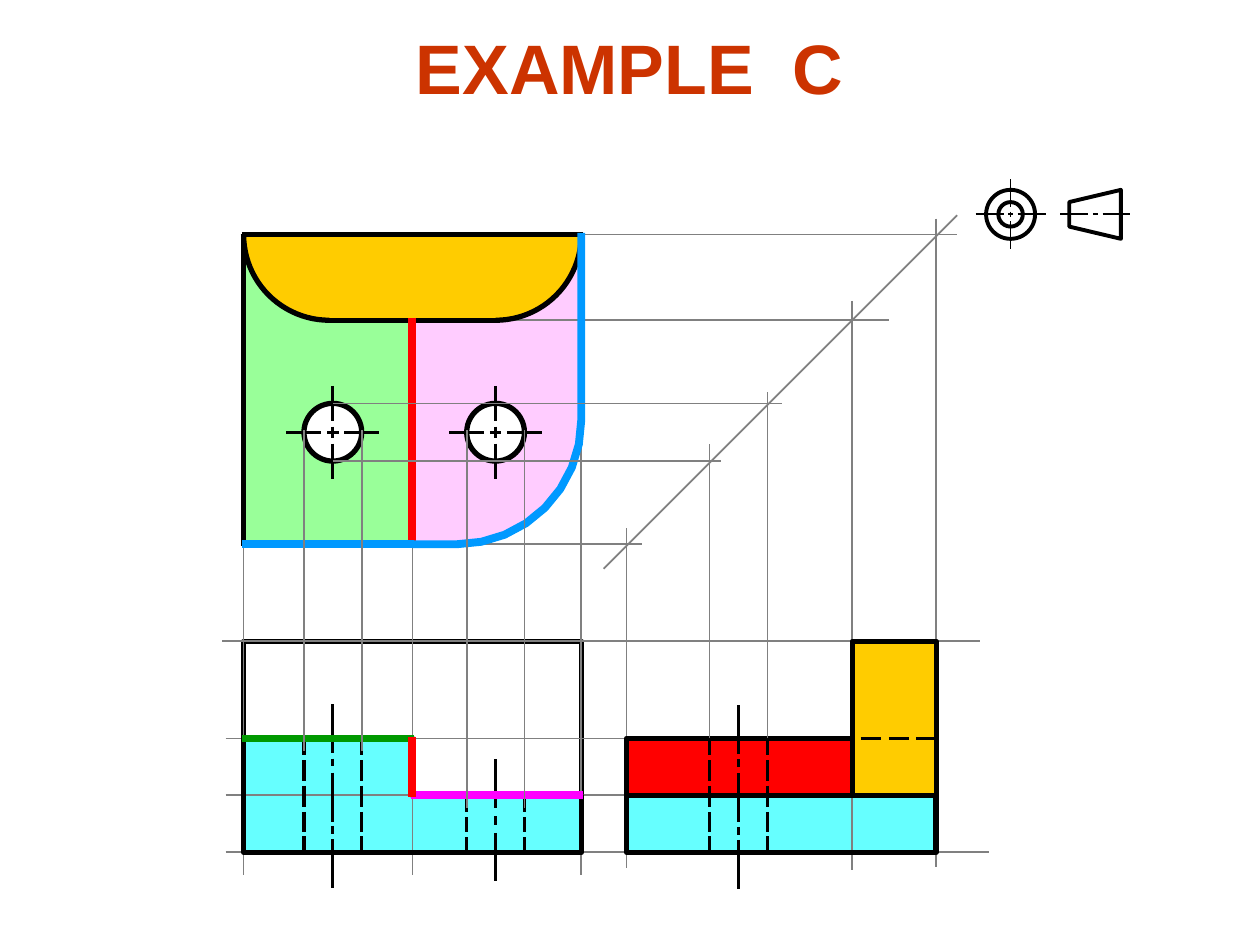
from math import cos, radians, sin

from lxml.etree import SubElement
from pptx import Presentation
from pptx.dml.color import RGBColor
from pptx.enum.shapes import MSO_CONNECTOR, MSO_SHAPE
from pptx.enum.text import MSO_ANCHOR, PP_ALIGN
from pptx.oxml.ns import qn
from pptx.util import Pt

BLACK = RGBColor(0x00, 0x00, 0x00)
WHITE = RGBColor(0xFF, 0xFF, 0xFF)
GRAY = RGBColor(0x80, 0x80, 0x80)
RUST = RGBColor(0xCC, 0x33, 0x00)
GOLD = RGBColor(0xFF, 0xCC, 0x00)
CYAN = RGBColor(0x66, 0xFF, 0xFF)
RED = RGBColor(0xFF, 0x00, 0x00)
PINK = RGBColor(0xFF, 0xCC, 0xFF)
LIME = RGBColor(0x99, 0xFF, 0x99)
GREEN = RGBColor(0x00, 0x99, 0x00)
MAGENTA = RGBColor(0xFF, 0x00, 0xFF)
BLUE = RGBColor(0x00, 0x99, 0xFF)

# View boxes in points: left, top, width, height
TOP = (139.2, 134, 193, 177)
FRONT = (139.2, 366.5, 193, 120.5)
SIDE = (358, 366.5, 177, 120.5)
SYMBOL = (563.5, 108.5, 77, 28)

# Features of the part
STEP, LOW = 55.5, 88            # heights of the two steps, from the top
WALL = 49                       # thickness of the back wall and its radius
CORNER = 71                     # radius of the front corner
HOLES, HOLE_Y, R = (51, 144), 113, 16.5
SIDE_HOLE, SIDE_WALL = 64, 129
HIDDEN = ((0, 9.5), (12.5, 24.5), (27, 39), (42, 53.5), (56, 65.5))
HIDDEN_LOW = ((0, 9.5), (12.5, 21), (24, 33.5))
AXIS = ((0, 28), (31, 35.5), (39, 67), (69.5, 74), (77, 105))
AXIS_LOW = ((0, 27.5), (32.5, 37.5), (42, 69.5))


def style(shape, fill, color, width):
    shape.shadow.inherit = False
    if fill is None:
        shape.fill.background()
    else:
        shape.fill.solid()
        shape.fill.fore_color.rgb = fill
    if width:
        shape.line.color.rgb = color
        shape.line.width = Pt(width)
    else:
        shape.line.fill.background()


def line(s, x1, y1, x2, y2, color=BLACK, width=3):
    c = s.shapes.add_connector(MSO_CONNECTOR.STRAIGHT, Pt(x1), Pt(y1), Pt(x2), Pt(y2))
    c.line.color.rgb = color
    c.line.width = Pt(width)
    SubElement(c._element.spPr, qn("a:effectLst"))


def preset(s, kind, x, y, w, h, fill=None, width=0):
    shape = s.shapes.add_shape(kind, Pt(x), Pt(y), Pt(w), Pt(h))
    style(shape, fill, BLACK, width)
    return shape


def quarter(s, cx, cy, r, start):
    shape = preset(s, MSO_SHAPE.ARC, cx - r, cy - r, 2 * r, 2 * r, width=3)
    for i, angle in enumerate((start, start + 90)):
        shape.adjustments[i] = angle * 0.6  # 60000ths of a degree over 100000


def outline(s, box, points, fill=None, color=BLACK, width=3, close=True):
    pts = [(Pt(box[0] + x), Pt(box[1] + y)) for x, y in points]
    fb = s.shapes.build_freeform(*pts[0])
    fb.add_line_segments(pts[1:], close=close)
    style(fb.convert_to_shape(), fill, color, width)


def arc(cx, cy, r, start, end, n=8):
    angles = [radians(start + (end - start) * i / n) for i in range(n + 1)]
    return [(cx + r * cos(a), cy + r * sin(a)) for a in angles]


def dashes(s, x, y, spans, width, vertical=True):
    for a, b in spans:
        if vertical:
            line(s, x, y + a, x, y + b, width=width)
        else:
            line(s, x + a, y, x + b, y, width=width)


def cross(s, x, y, half, gap, dot, width, directions=(False, True)):
    for vertical in directions:
        dashes(s, x, y, ((-half, -gap), (-dot, dot), (gap, half)), width, vertical)


def title(s, x, y, w, h):
    sp = s.shapes.title
    sp.left, sp.top, sp.width, sp.height = Pt(x), Pt(y), Pt(w), Pt(h)
    tf = sp.text_frame
    tf.word_wrap = False
    tf.margin_left = tf.margin_right = 0
    tf.vertical_anchor = MSO_ANCHOR.TOP
    p = tf.paragraphs[0]
    p.alignment = PP_ALIGN.CENTER
    for text, spacing in (("EXAMPLE", 0), (" ", 1100), ("C", 0)):
        r = p.add_run()
        r.text = text
        r.font.name, r.font.size, r.font.bold = "Arial", Pt(40), True
        r.font.color.rgb = RUST
        if spacing:  # widens the gap before the letter
            r._r.get_or_add_rPr().set("spc", str(spacing))


def top_fills(s, box):
    w, h = box[2:]
    mid = w / 2
    right = arc(w - WALL, 0, WALL, 0, 90)
    left = arc(WALL, 0, WALL, 90, 180)
    corner = arc(w - CORNER, h - CORNER, CORNER, 90, 0)
    outline(s, box, [(mid, WALL), (mid, h)] + corner + right, PINK, width=0.75)
    outline(s, box, [(0, h), (mid, h), (mid, WALL)] + left, LIME, width=0.75)
    outline(s, box, right + left, GOLD, width=0)


def front_fills(s, box):
    x, y, w, h = box
    mid = w / 2
    outline(s, box, [(0, STEP), (0, 0), (w, 0), (w, LOW), (mid, LOW), (mid, STEP)], WHITE)
    preset(s, MSO_SHAPE.RECTANGLE, x, y + STEP, mid, h - STEP, CYAN)
    preset(s, MSO_SHAPE.RECTANGLE, x + mid, y + LOW, mid, h - LOW, CYAN)


def side_blocks(s, box, filled):
    x, y, w, h = box
    for dx, dy, bw, bh, fill, width in (
            (0, LOW, w, h - LOW, CYAN, 0),
            (0, STEP, SIDE_WALL, LOW - STEP, RED, 0.75),
            (SIDE_WALL, 0, w - SIDE_WALL, LOW, GOLD, 0.75)):
        preset(s, MSO_SHAPE.RECTANGLE, x + dx, y + dy, bw, bh,
               fill if filled else None, width if filled else 3)


def projections(s, top, front, side):
    x, y, w, h = top
    line(s, 345, 325, 547, 123, GRAY, 1)
    # From the top view across to the mitre line
    for x1, dy, x2 in ((x + 130, h, 367), (x + w, 0, 547), (x + 151, WALL, 508)):
        line(s, x1, y + dy, x2, y + dy, GRAY, 1)
    # From the mitre line down to the side view
    for dx, y1, y2 in ((0, 302, 496), (side[2], 125, 495.5), (SIDE_WALL, 172, 497)):
        line(s, side[0] + dx, y1, side[0] + dx, y2, GRAY, 1)
    # Heights shared by the front and side views
    for dy, x1, x2 in ((0, 127, 560), (STEP, 129, 358), (LOW, 129, 358), (front[3], 129, 565)):
        line(s, x1, front[1] + dy, x2, front[1] + dy, GRAY, 1)
    # From the top view down to the front view
    for dx, y1 in ((0, 310), (w / 2, 310), (w, 248)):
        line(s, x + dx, y1, x + dx, 500, GRAY, 1)


def top_edges(s, box):
    x, y, w, h = box
    quarter(s, x + w - WALL, y, WALL, 0)
    quarter(s, x + WALL, y, WALL, 90)
    quarter(s, x + w - CORNER, y + h - CORNER, CORNER, 0)
    line(s, x + WALL, y + WALL, x + w - WALL, y + WALL)
    line(s, x - 1, y, x + w + 1, y)
    line(s, x + w, y - 1, x + w, y + h - CORNER)
    line(s, x, y, x, y + h + 1)
    for dx in HOLES:
        cx, cy = x + dx, y + HOLE_Y
        preset(s, MSO_SHAPE.OVAL, cx - R, cy - R, 2 * R, 2 * R, WHITE, 3)
        cross(s, cx, cy, 26.5, 6.5, 3.25, 1.5)


def front_edges(s, box):
    x, y, w, h = box
    mid = w / 2
    outline(s, box, [(0, STEP), (mid, STEP), (mid, LOW), (w, LOW), (w, h), (0, h)])
    for dx, level, hidden, above, axis in (
            (HOLES[0], STEP, HIDDEN, 19.5, AXIS), (HOLES[1], LOW, HIDDEN_LOW, 20.5, AXIS_LOW)):
        for edge in (-R, R):
            dashes(s, x + dx + edge, y + level, hidden, 2)
        dashes(s, x + dx, y + level - above, axis, 1.5)


def side_edges(s, box):
    x, y, w, h = box
    side_blocks(s, box, filled=False)
    for edge in (-R, R):
        dashes(s, x + SIDE_HOLE + edge, y + STEP, HIDDEN, 2)
    dashes(s, x + SIDE_HOLE, y + STEP - 19, AXIS, 1.5)
    dashes(s, x + SIDE_WALL, y + STEP, ((5, 16.5), (21, 32.5), (36.5, 48)), 2, vertical=False)


def projection_symbol(s, box):
    x, y, w, h = box
    cy = y + h / 2
    ring = preset(s, MSO_SHAPE.DONUT, x, y, h, h, width=2.25)
    ring.adjustments[0] = 0.25
    outline(s, box, [(w, 0), (w, h), (w - 29.5, h - 7), (w - 29.5, 7)], width=2.25)
    cross(s, x + h / 2, cy, 20, 4, 1.5, 1)
    cross(s, x + w - 14.5, cy, 20, 4, 1.5, 1, directions=(False,))


def hole_projections(s, top, side):
    for dy, x2, edge, y2 in ((-R, 447, R, 224), (R, 412, -R, 253.5)):
        y, x = top[1] + HOLE_Y + dy, side[0] + SIDE_HOLE + edge
        line(s, top[0] + HOLES[0], y, x2, y, GRAY, 0.75)
        line(s, x, side[1] + STEP, x, y2, GRAY, 0.75)
    for dx, y2 in zip(HOLES, (429, 462)):
        for edge in (-R, R):
            x = top[0] + dx + edge
            line(s, x, 246, x, y2, GRAY, 1)


def highlights(s, top, front):
    x, y, w, h = top
    fy, mid = front[1], x + w / 2
    line(s, x - 1, fy + STEP, mid + 1, fy + STEP, GREEN, 4.5)
    line(s, mid - 1, fy + LOW, x + w + 1, fy + LOW, MAGENTA, 4.5)
    line(s, mid, y + WALL - 1, mid, y + h + 1, RED, 4.5)
    line(s, mid, fy + STEP - 1, mid, fy + LOW + 1, RED, 4.5)
    corner = arc(w - CORNER, h - CORNER, CORNER, 0, 90)
    outline(s, top, [(w, -1)] + corner + [(w / 2, h)], color=BLUE, width=4.5, close=False)
    line(s, mid + 1, y + h, x - 1, y + h, BLUE, 4.5)


def main():
    prs = Presentation()
    prs.slide_width, prs.slide_height = Pt(720), Pt(540)
    s = prs.slides.add_slide(prs.slide_layouts[5])
    title(s, 230.5, 10.5, 258.5, 55.5)
    # Coloured faces
    front_fills(s, FRONT)
    side_blocks(s, SIDE, filled=True)
    top_fills(s, TOP)
    # Construction lines, then the edges over them
    projections(s, TOP, FRONT, SIDE)
    front_edges(s, FRONT)
    projection_symbol(s, SYMBOL)
    top_edges(s, TOP)
    side_edges(s, SIDE)
    # Emphasised edges and hole projections
    highlights(s, TOP, FRONT)
    hole_projections(s, TOP, SIDE)
    prs.save("out.pptx")


if __name__ == "__main__":
    main()
